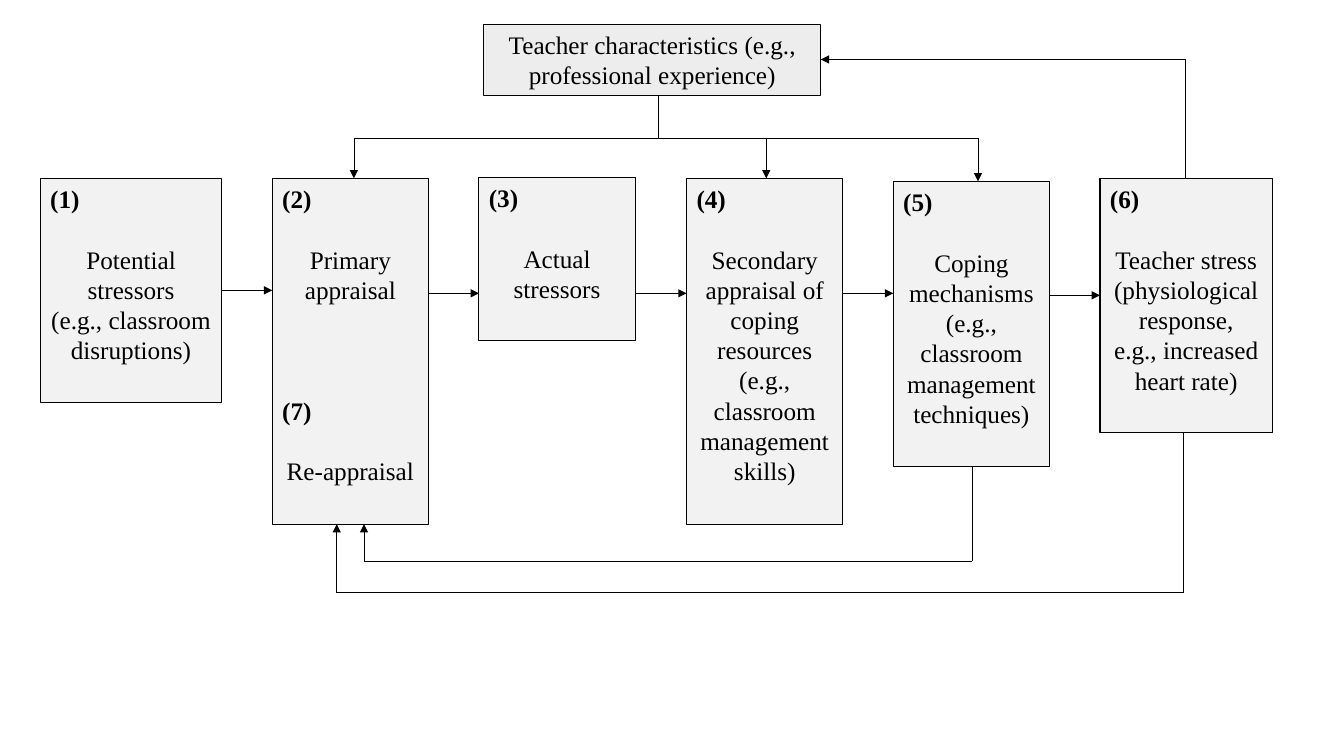
import dataclasses
import itertools

import lxml.etree
import pptx
import pptx.dml.color
import pptx.enum.shapes
import pptx.enum.text
import pptx.oxml.ns
import pptx.presentation
import pptx.slide
import pptx.util

Inches = pptx.util.Inches
Pt = pptx.util.Pt
Align = pptx.enum.text.PP_ALIGN

COLORS = {"ink": "000000", "header": "EDEDED", "stage": "F2F2F2"}
FONT = "Times New Roman"
TEXT_SIZE = 18
LINE_PITCH = 21.6  # points from one text line to the next

Point = tuple[float, float]


@dataclasses.dataclass(frozen=True)
class Line:
    text: str
    is_number: bool = False
    lines_before: int = 0


@dataclasses.dataclass(frozen=True)
class Box:
    left: float
    top: float
    width: float
    height: float
    lines: tuple[Line, ...]
    fill: str = "stage"

    @property
    def right(self) -> float:
        return self.left + self.width

    @property
    def bottom(self) -> float:
        return self.top + self.height


@dataclasses.dataclass(frozen=True)
class Route:
    points: tuple[Point, ...]
    has_arrow: bool = True


def numbered(number: int, *texts: str, lines_before: int = 0) -> tuple[Line, ...]:
    """A bold number, one line of space, then the centred texts."""
    first, *rest = texts
    return (
        Line(f"({number})", True, lines_before),
        Line(first, lines_before=1),
        *(Line(text) for text in rest),
    )


def rgb(name: str) -> pptx.dml.color.RGBColor:
    return pptx.dml.color.RGBColor.from_string(COLORS[name])


def draw_box(slide: pptx.slide.Slide, box: Box) -> None:
    shape = slide.shapes.add_shape(
        pptx.enum.shapes.MSO_SHAPE.RECTANGLE,
        Inches(box.left), Inches(box.top), Inches(box.width), Inches(box.height),
    )
    shape.shadow.inherit = False
    shape.fill.solid()
    shape.fill.fore_color.rgb = rgb(box.fill)
    shape.line.color.rgb = rgb("ink")
    shape.line.width = Pt(0.75)
    frame = shape.text_frame
    frame.word_wrap = True
    frame.vertical_anchor = pptx.enum.text.MSO_ANCHOR.TOP
    for index, line in enumerate(box.lines):
        paragraph = frame.add_paragraph() if index else frame.paragraphs[0]
        paragraph.alignment = Align.LEFT if line.is_number else Align.CENTER
        paragraph.line_spacing = Pt(LINE_PITCH)
        paragraph.space_before = Pt(LINE_PITCH * line.lines_before)
        run = paragraph.add_run()
        run.text = line.text
        run.font.name = FONT
        run.font.size = Pt(TEXT_SIZE)
        run.font.bold = line.is_number
        run.font.color.rgb = rgb("ink")


def draw_segment(slide: pptx.slide.Slide, start: Point, end: Point, has_arrow: bool) -> None:
    segment = slide.shapes.add_connector(
        pptx.enum.shapes.MSO_CONNECTOR.STRAIGHT,
        *(Inches(value) for value in (*start, *end)),
    )
    segment.line.color.rgb = rgb("ink")
    segment.line.width = Pt(0.5)
    qn = pptx.oxml.ns.qn
    if has_arrow:
        lxml.etree.SubElement(segment.line._get_or_add_ln(), qn("a:tailEnd"), type="triangle")
    lxml.etree.SubElement(segment._element.spPr, qn("a:effectLst"))


def draw_route(slide: pptx.slide.Slide, route: Route) -> None:
    last = len(route.points) - 2
    for index, (start, end) in enumerate(itertools.pairwise(route.points)):
        draw_segment(slide, start, end, route.has_arrow and index == last)


# Boxes: stages 2 to 6 stand at equal steps
STAGE_TOP = 1.77
STAGE_WIDTH = 1.55
APPRAISAL_LEFT, STRESSORS_LEFT, RESOURCES_LEFT, COPING_LEFT, STRESS_LEFT = (
    round(2.7 + 2.053 * step, 2) for step in range(5)
)

characteristics = Box(
    4.8, 0.24, 3.34, 0.71,
    (Line("Teacher characteristics (e.g., professional experience)"),), "header",
)
potential = Box(0.4, STAGE_TOP, 1.8, 2.22,
                numbered(1, "Potential stressors", "(e.g., classroom disruptions)"))
appraisal = Box(APPRAISAL_LEFT, STAGE_TOP, STAGE_WIDTH, 3.43,
                numbered(2, "Primary appraisal")
                + numbered(7, "Re-appraisal", lines_before=3))
actual = Box(STRESSORS_LEFT, 1.76, STAGE_WIDTH, 1.62, numbered(3, "Actual stressors"))
resources = Box(
    RESOURCES_LEFT, STAGE_TOP, STAGE_WIDTH, 3.43,
    numbered(4, "Secondary appraisal of coping resources (e.g., classroom management skills)"),
)
coping = Box(
    COPING_LEFT, 1.8, STAGE_WIDTH, 2.83,
    numbered(5, "Coping", "mechanisms (e.g., classroom management techniques)"),
)
stress = Box(
    STRESS_LEFT, STAGE_TOP, 1.71, 2.52,
    numbered(6, "Teacher stress", "(physiological response,", "e.g., increased heart rate)"),
)
STAGES = (potential, appraisal, actual, resources, coping, stress)

# Routes: forward arrows, influence of the teacher, feedback loops
FORWARD_HEIGHTS = (2.88, 2.91, 2.91, 2.91, 2.93)
BRANCH_Y = 1.37
COPING_LOOP_Y = 5.57
STRESS_LOOP_Y = 5.88

forward = [
    Route(((before.right, y), (after.left, y)))
    for (before, after), y in zip(itertools.pairwise(STAGES), FORWARD_HEIGHTS)
]
influence = [
    Route(((6.53, characteristics.bottom), (6.53, BRANCH_Y)), has_arrow=False),
    Route(((7.6, BRANCH_Y), (7.6, resources.top))),
    Route(((7.6, BRANCH_Y), (3.51, BRANCH_Y), (3.51, appraisal.top))),
    Route(((7.6, BRANCH_Y), (9.7, BRANCH_Y), (9.7, coping.top))),
]
feedback = [
    Route(((9.64, coping.bottom), (9.64, COPING_LOOP_Y),
           (3.61, COPING_LOOP_Y), (3.61, appraisal.bottom))),
    Route(((11.74, stress.bottom), (11.74, STRESS_LOOP_Y),
           (3.34, STRESS_LOOP_Y), (3.34, appraisal.bottom))),
    Route(((11.76, stress.top), (11.76, 0.59), (characteristics.right, 0.59))),
]


def main() -> None:
    deck = pptx.Presentation()
    deck.slide_width = Inches(13.33)
    deck.slide_height = Inches(7.5)
    slide = deck.slides.add_slide(deck.slide_layouts[6])
    for box in (characteristics, *STAGES):
        draw_box(slide, box)
    for route in (*forward, *influence, *feedback):
        draw_route(slide, route)
    deck.save("out.pptx")


if __name__ == "__main__":
    main()
